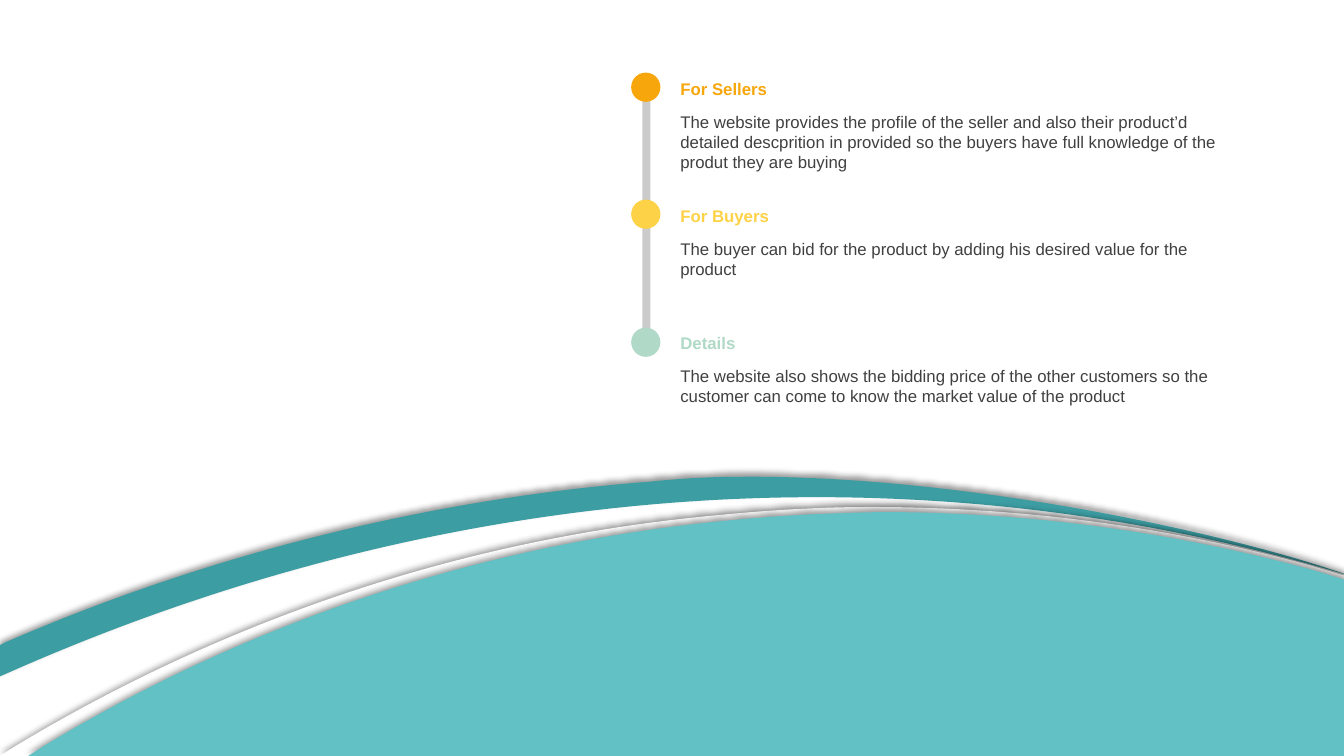
import pptx
import pptx.dml.color
import pptx.enum.shapes
import pptx.enum.text
import pptx.oxml
import pptx.oxml.ns
import pptx.util

PX = 9144  # 100 px to the inch
SHAPES = pptx.enum.shapes.MSO_SHAPE
NAMESPACE = pptx.oxml.ns.nsdecls("a")

SHADOW = (
    f'<a:effectLst {NAMESPACE}>'
    '<a:outerShdw blurRad="50800" dist="38100" dir="16200000" rotWithShape="0">'
    '<a:srgbClr val="000000"><a:alpha val="40000"/></a:srgbClr>'
    '</a:outerShdw></a:effectLst>'
)


def paint(shape, color):
    shape.shadow.inherit = False
    shape.fill.solid()
    shape.fill.fore_color.rgb = pptx.dml.color.RGBColor.from_string(color)
    shape.line.fill.background()


def add_text(shapes, text, *, left, top, width, height, color, bold=False):
    box = shapes.add_textbox(left * PX, top * PX, width * PX, height * PX)
    frame = box.text_frame
    frame.word_wrap = True
    frame.auto_size = pptx.enum.text.MSO_AUTO_SIZE.SHAPE_TO_FIT_TEXT
    span = frame.paragraphs[0].add_run()
    span.text = text
    span.font.name = "Arial"
    span.font.size = pptx.util.Pt(12)
    span.font.bold = bold
    span.font.color.rgb = pptx.dml.color.RGBColor.from_string(color)


deck = pptx.Presentation()
deck.slide_width = 1333 * PX
deck.slide_height = 750 * PX
page = deck.slides.add_slide(deck.slide_layouts[6])

# Waves: two numbers make a straight edge, six make a Bezier curve
teal_band = ("3C9DA2", (734, 473), [
    (953, 471, 1218, 528, 1341, 572), (900, 438, 438, 479, 16, 664),
    (0, 671), (0, 640), (6, 637),
    (204, 551, 424, 495, 643, 478), (672, 475, 703, 473, 734, 473)])
white_wave = ("FFFFFF", (864, 503), [
    (1015, 503, 1163, 523, 1303, 562), (1333, 571), (1333, 750),
    (0, 750), (14, 741),
    (221, 616, 458, 534, 713, 511), (764, 506, 814, 503, 864, 503)])
light_wave = ("62C1C5", (874, 508), [
    (1022, 508, 1166, 528, 1304, 566), (1333, 575), (1333, 750),
    (28, 750), (42, 741),
    (245, 618, 477, 539, 726, 516), (776, 511, 825, 509, 874, 508)])


# Timeline steps: heading, colour, description height and description
steps = [
    ("For Sellers", "F7A60B", 71,
     "The website provides the profile of the seller and also their product’d "
     "detailed descprition in provided so the buyers have full knowledge of the "
     "produt they are buying"),
    ("For Buyers", "FDD247", 50,
     "The buyer can bid for the product by adding his desired value for the product"),
    ("Details", "B1D9C7", 50,
     "The website also shows the bidding price of the other customers so the "
     "customer can come to know the market value of the product"),
]

for color, start, edges in (teal_band, white_wave, light_wave):
    # The timeline lies behind the light wave
    if color == "62C1C5":
        bar = page.shapes.add_shape(SHAPES.RECTANGLE, 637 * PX, 97 * PX, 8 * PX, 230 * PX)
        paint(bar, "CBCBCB")
        for index, step in enumerate(steps):
            dot = page.shapes.add_shape(
                SHAPES.OVAL, 626 * PX, (72 + index * 253 // 2) * PX, 29 * PX, 29 * PX)
            paint(dot, step[1])

    builder = page.shapes.build_freeform(*start, scale=PX)
    builder.add_line_segments([edge[-2:] for edge in edges], close=True)
    wave = builder.convert_to_shape()
    paint(wave, color)
    properties = wave.fill._xPr
    properties.remove(properties.find(pptx.oxml.ns.qn("a:effectLst")))
    properties.append(pptx.oxml.parse_xml(SHADOW))

    # Bend the edges that have control points
    left = min(x for *_, x, y in edges)
    top = min(y for *_, y in edges)
    lines = list(properties.iter(pptx.oxml.ns.qn("a:lnTo")))
    for line, edge in zip(lines, edges):
        if len(edge) == 6:
            points = "".join(f'<a:pt x="{x - left}" y="{y - top}"/>'
                             for x, y in zip(edge[::2], edge[1::2]))
            curve = pptx.oxml.parse_xml(
                f'<a:cubicBezTo {NAMESPACE}>{points}</a:cubicBezTo>')
            line.getparent().replace(line, curve)

# Headings and descriptions
for index, (heading, color, height, description) in enumerate(steps):
    top = 73 + index * 126
    group = page.shapes.add_group_shape()
    add_text(group.shapes, heading, left=665, top=top, width=570, height=30,
             color=color, bold=True)
    add_text(group.shapes, description, left=665, top=top + 33, width=570,
             height=height, color="404040")

deck.save("out.pptx")
